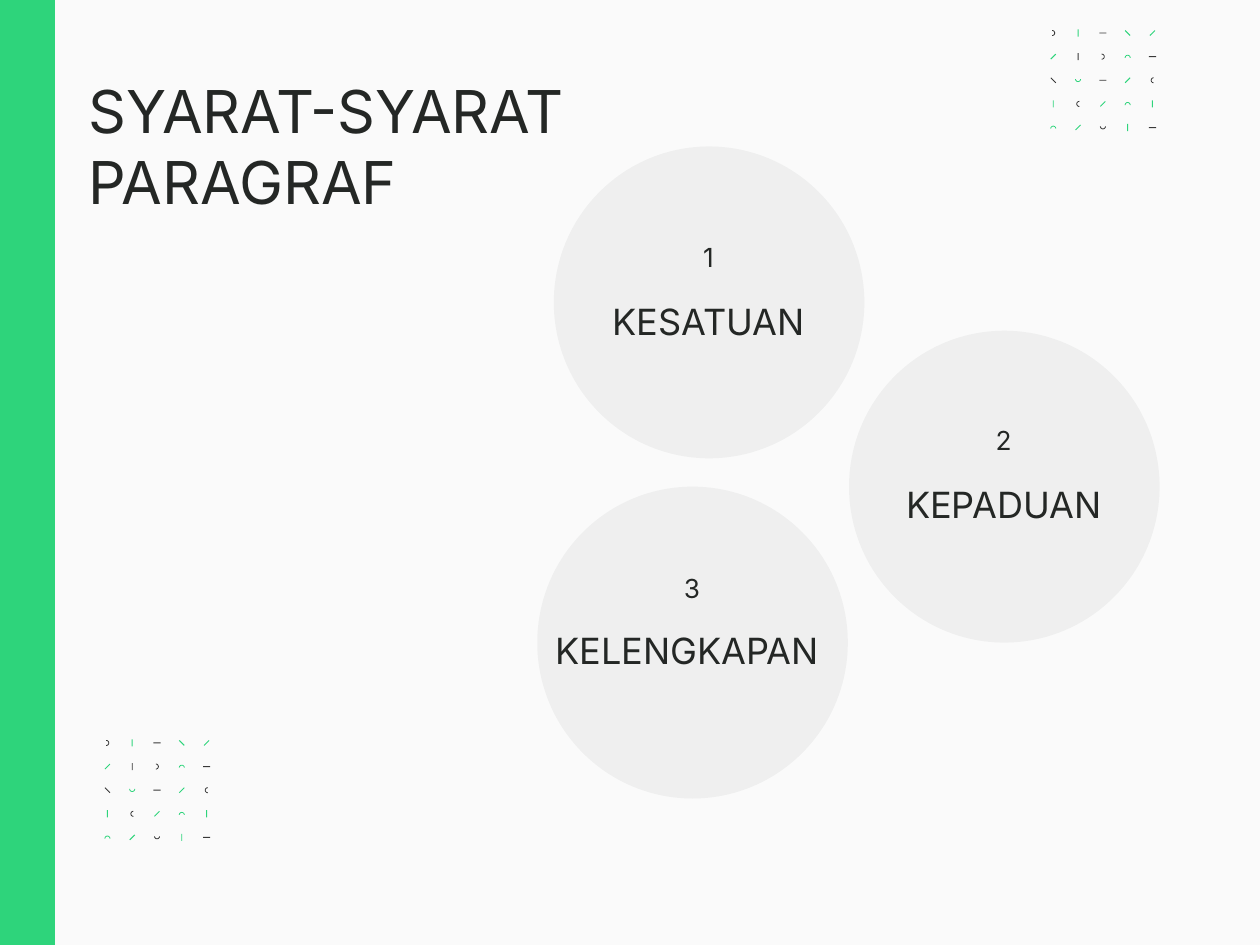
import math
from dataclasses import dataclass

from lxml import etree
from pptx import Presentation, util as u
from pptx.dml.color import RGBColor
from pptx.enum import shapes, text
from pptx.oxml.ns import qn


@dataclass(frozen=True)
class Theme:
    paper: str = "FAFAFA"
    ink: str = "242725"
    mark: str = "383838"
    accent: str = "2ED47B"
    font: str = "Inter"
    title: tuple = (36, 43.2)
    label: tuple = (22, 30.8)
    number: tuple = (16, 22.4)


GLYPHS = [")|-\\/", "/|)n-", "\\u-/(", "|(/n|", "n/u|-"]
INKS = ["dgdgg", "gddgd", "dgdgd", "gdggg", "ggdgd"]
BAR_ANGLES = {"-": 0, "\\": 45, "|": 90, "/": -45}
ARC_ANGLES = {")": 0, "u": 90, "(": 180, "n": 270}


def polar(radius, degrees):
    angle = math.radians(degrees)
    return radius * math.cos(angle), radius * math.sin(angle)


def glyph_outline(glyph, center_x, center_y):
    if glyph in BAR_ANGLES:
        turn = BAR_ANGLES[glyph]
        along, across = polar(0.03, turn), polar(0.004, turn + 90)
        corners = [(1, 1), (1, -1), (-1, -1), (-1, 1)]
        points = [(a * along[0] + b * across[0], a * along[1] + b * across[1])
                  for a, b in corners]
    else:
        turn = ARC_ANGLES[glyph]
        shift_x, shift_y = polar(-0.01, turn)
        sweep = range(turn - 90, turn + 91, 15)
        ring = [polar(0.025, d) for d in sweep]
        ring += [polar(0.018, d) for d in reversed(sweep)]
        points = [(x + shift_x, y + shift_y) for x, y in ring]
    return [(u.Inches(center_x + x), u.Inches(center_y + y)) for x, y in points]


class SlideBuilder:
    def __init__(self, slide, theme):
        self.slide, self.theme = slide, theme
        backdrop = slide.background.fill
        backdrop.solid()
        backdrop.fore_color.rgb = RGBColor.from_string(theme.paper)

    def paint(self, shape, color, opacity=None):
        shape.shadow.inherit = False
        shape.fill.solid()
        shape.fill.fore_color.rgb = RGBColor.from_string(color)
        shape.line.fill.background()
        if opacity is not None:
            tint = shape.fill._xPr.find(qn("a:solidFill"))[0]
            etree.SubElement(tint, qn("a:alpha"), val=str(opacity * 1000))

    def preset(self, kind, box, color, opacity=None, rotation=0):
        shape = self.slide.shapes.add_shape(kind, *map(u.Inches, box))
        shape.rotation = rotation
        self.paint(shape, color, opacity)

    def words(self, content, box, style, align=text.PP_ALIGN.LEFT, tracking=0):
        size, leading = style
        frame = self.slide.shapes.add_textbox(*map(u.Inches, box)).text_frame
        frame_format = dict(margin_left=0, margin_top=0, margin_right=0, margin_bottom=0,
                            word_wrap=True, auto_size=text.MSO_AUTO_SIZE.SHAPE_TO_FIT_TEXT)
        paragraph = frame.paragraphs[0]
        run = paragraph.add_run()
        run.text = content
        for target, values in (
            (frame, frame_format),
            (paragraph, dict(alignment=align, line_spacing=u.Pt(leading))),
            (run.font, dict(name=self.theme.font, size=u.Pt(size))),
            (run.font.color, dict(rgb=RGBColor.from_string(self.theme.ink))),
        ):
            for attribute, value in values.items():
                setattr(target, attribute, value)
        if tracking:
            run._r.get_or_add_rPr().set("spc", str(tracking))

    def confetti(self, left, top):
        for ink, color in (("d", self.theme.mark), ("g", self.theme.accent)):
            outlines = [
                glyph_outline(glyph, left + 0.21 * column, top + 0.2 * row)
                for row, glyphs in enumerate(GLYPHS)
                for column, glyph in enumerate(glyphs)
                if INKS[row][column] == ink
            ]
            pen = self.slide.shapes.build_freeform(*outlines[0][0], scale=1.0)
            for index, outline in enumerate(outlines):
                if index:
                    pen.move_to(*outline[0])
                pen.add_line_segments(outline[1:], close=True)
            self.paint(pen.convert_to_shape(), color)


def main():
    theme = Theme()
    deck = Presentation()
    deck.slide_width, deck.slide_height = u.Inches(10.67), u.Inches(8)
    page = SlideBuilder(deck.slides.add_slide(deck.slide_layouts[6]), theme)

    requirements = [
        ("2", "KEPADUAN", (7.19, 2.8), (7.58, 3.55), (7.58, 4.02), 1.84, 10),
        ("1", "KESATUAN", (4.69, 1.24), (5.08, 2), (5.08, 2.47), 1.84, 20),
        ("3", "KELENGKAPAN", (4.55, 4.12), (4.54, 4.8), (4.5, 5.26), 2.64, 10),
    ]
    for _, _, circle, *_ in requirements:
        page.preset(shapes.MSO_SHAPE.OVAL, (*circle, 2.63, 2.64), theme.ink, opacity=5)

    page.words("SYARAT-SYARAT PARAGRAF", (0.75, 0.63, 4.58, 1.2), theme.title)
    center = text.PP_ALIGN.CENTER
    for number, label, _, number_at, label_at, width, tracking in requirements:
        page.words(number, (*number_at, width, 0.29), theme.number, center, tracking)
        page.words(label, (*label_at, width, 0.4), theme.label, center)

    for corner in ((8.92, 0.28), (0.91, 6.29)):
        page.confetti(*corner)
    page.preset(shapes.MSO_SHAPE.RECTANGLE, (-5.27, 5.01, 11, 0.47), theme.accent, rotation=270)

    deck.save("out.pptx")


if __name__ == "__main__":
    main()
